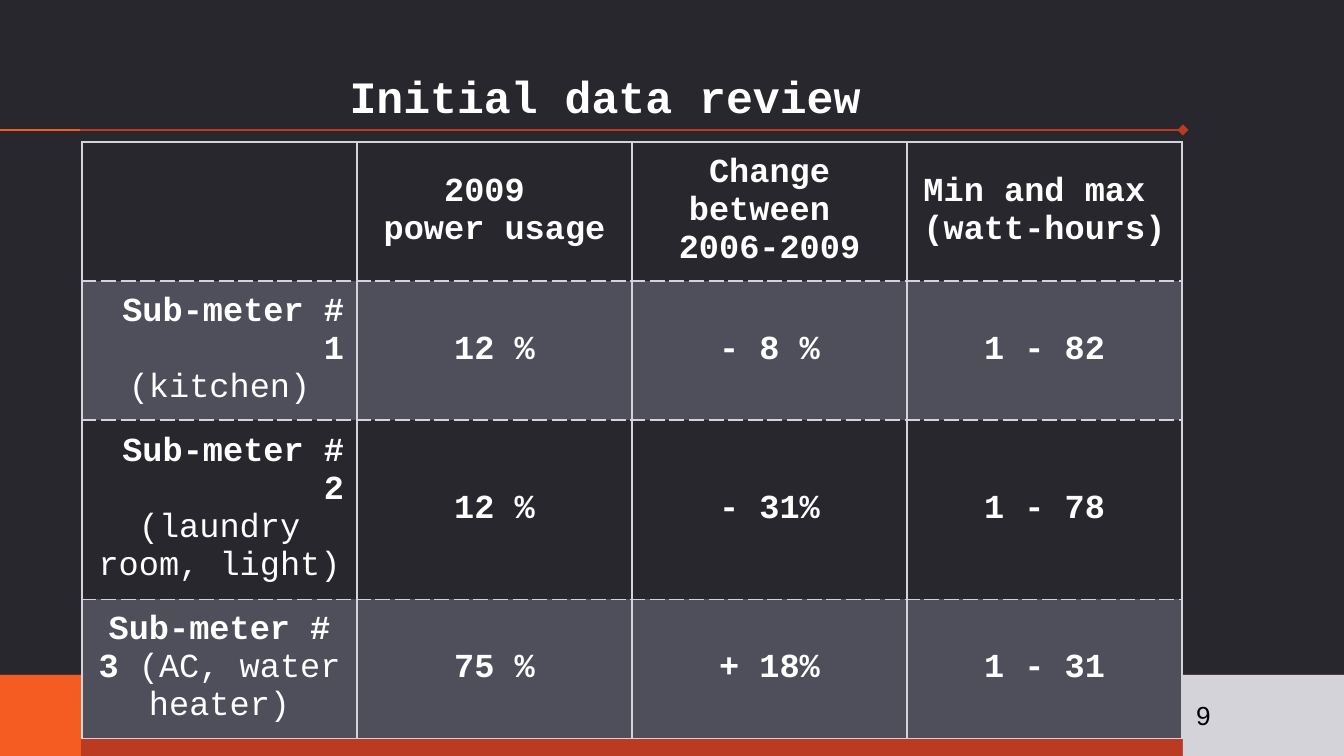
import pptx
import pptx.dml.color
import pptx.enum.shapes
import pptx.enum.text
import pptx.oxml
import pptx.oxml.ns
import pptx.util

SCALE = 914400 / 134.4  # EMU in one px
THEME = {
    "background": "27272D", "red": "BA3B21", "orange": "F55C21",
    "light": "D4D3D9", "band": "4F4F5C", "white": "FFFFFF", "black": "000000",
    "mono": "Courier New", "sans": "Arial",
    "title": 24, "table": 18, "number": 14, "rule": 1.5, "border": 0.75,
}
ALIGN = pptx.enum.text.PP_ALIGN
ANCHOR = pptx.enum.text.MSO_ANCHOR
SHAPE = pptx.enum.shapes.MSO_SHAPE


def px(*lengths):
    return [pptx.util.Emu(round(length * SCALE)) for length in lengths]


def write(paragraph, text, size, font, color, bold):
    run = paragraph.add_run()
    run.text = text
    formats = {"size": pptx.util.Pt(size), "name": font, "bold": bold}
    for name, value in formats.items():
        setattr(run.font, name, value)
    run.font.color.rgb = pptx.dml.color.RGBColor.from_string(color)


presentation = pptx.Presentation()
presentation.slide_width, presentation.slide_height = px(1344, 756)
slide = presentation.slides.add_slide(presentation.slide_layouts[6])
slide.background.fill.solid()
slide.background.fill.fore_color.rgb = pptx.dml.color.RGBColor.from_string(THEME["background"])

# Rule under the title: red with a diamond end, orange over its start
for end, color, head in [(1183, "red", "diamond"), (80, "orange", None)]:
    rule = slide.shapes.add_connector(
        pptx.enum.shapes.MSO_CONNECTOR.STRAIGHT, *px(-1, 130, end, 130))
    rule.line.color.rgb = pptx.dml.color.RGBColor.from_string(THEME[color])
    rule.line.width = pptx.util.Pt(THEME["rule"])
    if head:
        tail = pptx.oxml.parse_xml(
            f'<a:tailEnd {pptx.oxml.ns.nsdecls("a")} type="{head}"/>')
        rule.line._get_or_add_ln().append(tail)
    rule._element.spPr.append(
        pptx.oxml.parse_xml(f'<a:effectLst {pptx.oxml.ns.nsdecls("a")}/>'))

# Footer blocks
for left, width, color in [(0, 1344, "red"), (0, 81, "orange")]:
    block = slide.shapes.add_shape(SHAPE.RECTANGLE, *px(left, 675, width, 81))
    block.shadow.inherit = False
    block.fill.solid()
    block.fill.fore_color.rgb = pptx.dml.color.RGBColor.from_string(THEME[color])
    block.line.fill.background()

# Title, set a little left of the middle by its wider right margin
title = slide.shapes.add_textbox(*px(81, 54, 1102, 81))
margins = dict(zip(["margin_left", "margin_top", "margin_right", "margin_bottom"],
                   px(13, 13, 67, 13)))
for name, value in {**margins, "word_wrap": True, "vertical_anchor": ANCHOR.BOTTOM}.items():
    setattr(title.text_frame, name, value)
paragraph = title.text_frame.paragraphs[0]
paragraph.alignment = ALIGN.CENTER
write(paragraph, "Initial data review", THEME["title"], THEME["mono"], THEME["white"], True)

# Table: each cell is a list of paragraphs, each paragraph (alignment, runs)
headings = [[], ["2009 ", "power usage"], ["Change between ", "2006-2009"],
            ["Min and max ", "(watt-hours)"]]
meters = [
    ([(ALIGN.RIGHT, [("Sub-meter # 1", True)]),
      (ALIGN.CENTER, [("(kitchen)", False)])], "12 %", "- 8 %", "1 - 82"),
    ([(ALIGN.RIGHT, [("Sub-meter # 2", True)]),
      (ALIGN.CENTER, [("(laundry room, light) ", False)])], "12 %", "- 31%", "1 - 78"),
    ([(ALIGN.CENTER, [("Sub-meter # 3 ", True), ("(AC, water heater)", False)])],
     "75 %", "+ 18%", "1 - 31"),
]
rows = [[[(ALIGN.CENTER, [(line, True)]) for line in lines] for lines in headings]]
for label, *values in meters:
    rows.append([label] + [[(ALIGN.CENTER, [(value, True)])] for value in values])

table_shape = slide.shapes.add_table(len(rows), len(headings), *px(82, 142, 1100, 524))
table = table_shape.table
table.first_row = table.horz_banding = False
cell_format = dict(zip(["margin_left", "margin_top", "margin_right", "margin_bottom"],
                       px(13, 9, 13, 9)))
cell_format["vertical_anchor"] = ANCHOR.MIDDLE
for column in table.columns:
    column.width = px(275)[0]
for row_index, row in enumerate(rows):
    table.rows[row_index].height = px(89)[0]
    dashes = {"lnL": "solid", "lnR": "solid",
              "lnT": "dash" if row_index else "solid",
              "lnB": "dash" if row_index < len(rows) - 1 else "solid"}
    for column_index, content in enumerate(row):
        cell = table.cell(row_index, column_index)
        for name, value in cell_format.items():
            setattr(cell, name, value)
        for index, (alignment, runs) in enumerate(content):
            paragraph = (cell.text_frame.add_paragraph() if index
                         else cell.text_frame.paragraphs[0])
            paragraph.alignment = alignment
            for text, bold in runs:
                write(paragraph, text, THEME["table"], THEME["mono"], THEME["white"], bold)
        properties = cell._tc.get_or_add_tcPr()
        for side, dash in dashes.items():
            properties.append(pptx.oxml.parse_xml(
                f'<a:{side} {pptx.oxml.ns.nsdecls("a")} w="{pptx.util.Pt(THEME["border"])}">'
                f'<a:solidFill><a:srgbClr val="{THEME["light"]}"/></a:solidFill>'
                f'<a:prstDash val="{dash}"/></a:{side}>'))
        if row_index % 2:
            cell.fill.solid()
            cell.fill.fore_color.rgb = pptx.dml.color.RGBColor.from_string(THEME["band"])
        else:
            cell.fill.background()
table_shape.height = px(524)[0]

# Slide number
number = slide.shapes.add_shape(SHAPE.RECTANGLE, *px(1183, 675, 161, 81))
number.shadow.inherit = False
number.fill.solid()
number.fill.fore_color.rgb = pptx.dml.color.RGBColor.from_string(THEME["light"])
number.line.fill.background()
margins = dict.fromkeys(["margin_left", "margin_top", "margin_right", "margin_bottom"], px(13)[0])
for name, value in {**margins, "word_wrap": True, "vertical_anchor": ANCHOR.MIDDLE}.items():
    setattr(number.text_frame, name, value)
paragraph = number.text_frame.paragraphs[0]
paragraph.alignment = ALIGN.LEFT
write(paragraph, "9", THEME["number"], THEME["sans"], THEME["black"], False)

presentation.save("out.pptx")
